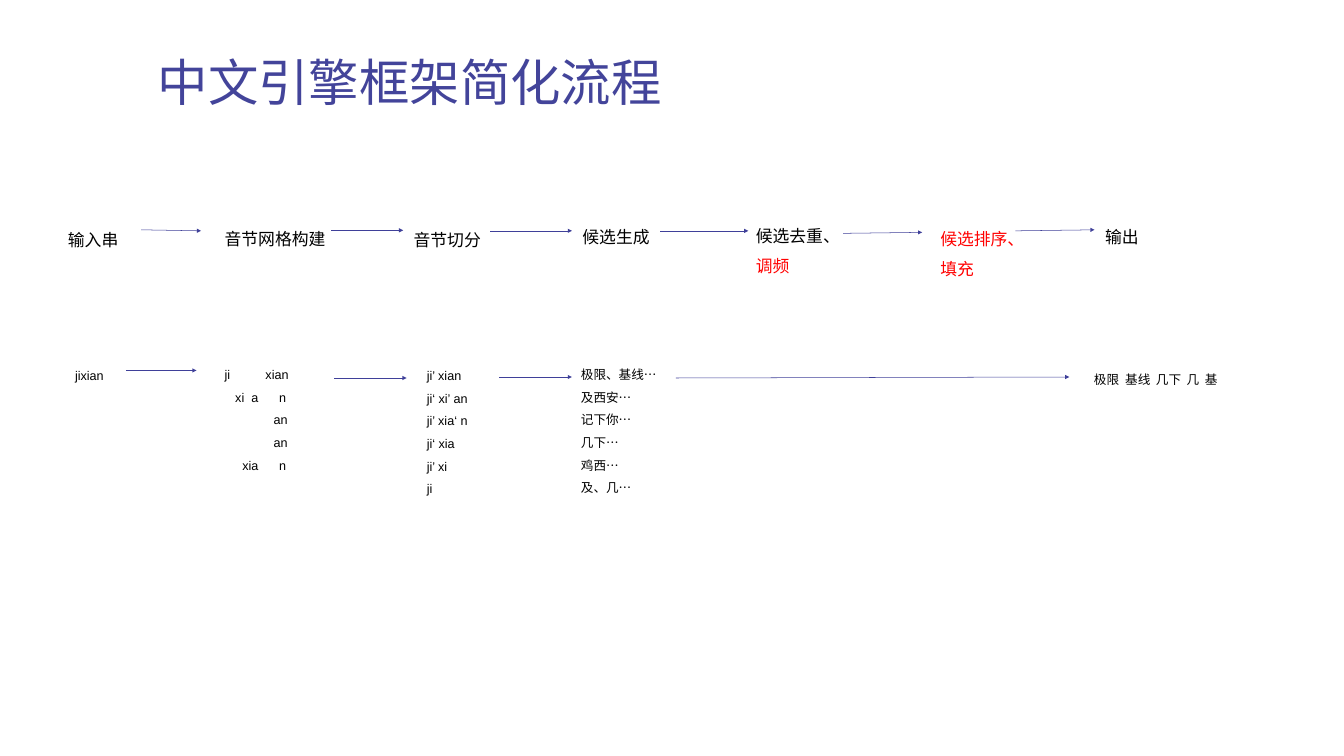
"""Builds a slide showing the simplified flow of a Chinese input engine."""
from lxml import etree
from pptx import Presentation
from pptx.dml.color import RGBColor
from pptx.enum.shapes import MSO_CONNECTOR
from pptx.enum.text import MSO_ANCHOR, PP_ALIGN
from pptx.oxml.ns import qn
from pptx.util import Pt

STRAIGHT = MSO_CONNECTOR.STRAIGHT
TOP, LEFT = MSO_ANCHOR.TOP, PP_ALIGN.LEFT
PX = 9144
FONT = "Arial"
BLACK, RED, TITLE_BLUE, ARROW_BLUE = "000000", "FF0000", "43449A", "3F4099"

TITLE = "中文引擎框架简化流程"
TITLE_BOX = (303, 97, 2217, 131)

STAGES = [
    ((125, 430, 147, 63), [("输入串", BLACK)]),
    ((436, 428, 227, 63), [("音节网格构建", BLACK)]),
    ((811, 430, 202, 63), [("音节切分", BLACK)]),
    ((1146, 425, 172, 63), [("候选生成", BLACK)]),
    ((1490, 423, 202, 124), [("候选去重、", BLACK), ("调频", RED)]),
    ((1856, 428, 179, 124), [("候选排序、填充", RED)]),
    ((2183, 425, 210, 63), [("输出", BLACK)]),
]

EXAMPLES = [
    ((139, 710, 78, 50), [[(0, "jixian")]]),
    ((436, 708, 148, 277), [
        [(0, "ji"), (81, "xian")],
        [(21, "xi"), (53, "a"), (108, "n")],
        [(97, "an")],
        [(97, "an")],
        [(35, "xia"), (108, "n")],
    ]),
    ((837, 710, 102, 277), [
        [(0, split)] for split in
        ("ji’ xian", "ji‘ xi’ an", "ji’ xia‘ n", "ji‘ xia", "ji’ xi", "ji")
    ]),
    ((1143, 708, 207, 277), [
        [(0, candidate)] for candidate in
        ("极限、基线…", "及西安…", "记下你…", "几下…", "鸡西…", "及、几…")
    ]),
    ((2161, 718, 325, 50), [
        [(0, "极限"), (62, "基线"), (123, "几下"), (184, "几"), (220, "基")],
    ]),
]

ARROWS = [
    (280, 456, 399, 458), (657, 457, 800, 457), (973, 458, 1135, 458),
    (1310, 458, 1485, 458), (1673, 463, 1830, 461), (2015, 458, 2172, 456),
    (250, 735, 390, 735), (663, 750, 807, 750), (991, 748, 1135, 748),
    (1341, 750, 2122, 748),
]


def emu(lengths):
    return [length * PX for length in lengths]


def color(hex_text):
    return RGBColor.from_string(hex_text)


def style(run, size, hex_text):
    run.font.name = FONT
    run.font.size = Pt(size)
    run.font.color.rgb = color(hex_text)


def add_frame(slide, box):
    frame = slide.shapes.add_textbox(*emu(box)).text_frame
    frame.word_wrap = True
    frame.margin_right = 0
    return frame


def add_stage(slide, box, parts):
    paragraph = add_frame(slide, box).paragraphs[0]
    paragraph.line_spacing = 1.5
    for words, hex_text in parts:
        run = paragraph.add_run()
        run.text = words
        style(run, 24, hex_text)


def set_tabs(paragraph, offsets):
    tabs = etree.SubElement(paragraph._p.get_or_add_pPr(), qn("a:tabLst"))
    for offset in offsets:
        etree.SubElement(tabs, qn("a:tab"), pos=str(offset * PX), algn="l")


def add_example(slide, box, lines):
    frame = add_frame(slide, box)
    frame.text = "\n".join(
        "".join("\t" * (offset > 0) + word for offset, word in line)
        for line in lines)
    for paragraph, line in zip(frame.paragraphs, lines):
        paragraph.line_spacing = 1.5
        offsets = [offset for offset, _ in line if offset]
        if offsets:
            set_tabs(paragraph, offsets)
        for run in paragraph.runs:
            style(run, 18, BLACK)


def add_arrow(slide, ends):
    arrow = slide.shapes.add_connector(STRAIGHT, *emu(ends))
    arrow.line.color.rgb = color(ARROW_BLUE)
    arrow.line.width = Pt(0.75)
    etree.SubElement(arrow.line._get_or_add_ln(), qn("a:tailEnd"), type="triangle")
    etree.SubElement(arrow._element.spPr, qn("a:effectLst"))


def add_title(slide):
    title = slide.shapes.title
    title.left, title.top, title.width, title.height = emu(TITLE_BOX)
    frame = title.text_frame
    frame.text = TITLE
    frame.vertical_anchor = TOP
    frame.paragraphs[0].alignment = LEFT
    style(frame.paragraphs[0].runs[0], 72, TITLE_BLUE)


def main():
    deck = Presentation()
    deck.slide_width, deck.slide_height = emu((2667, 1500))
    slide = deck.slides.add_slide(deck.slide_layouts[5])
    add_title(slide)
    for box, parts in STAGES:
        add_stage(slide, box, parts)
    for box, lines in EXAMPLES:
        add_example(slide, box, lines)
    for ends in ARROWS:
        add_arrow(slide, ends)
    deck.save("out.pptx")


if __name__ == "__main__":
    main()
